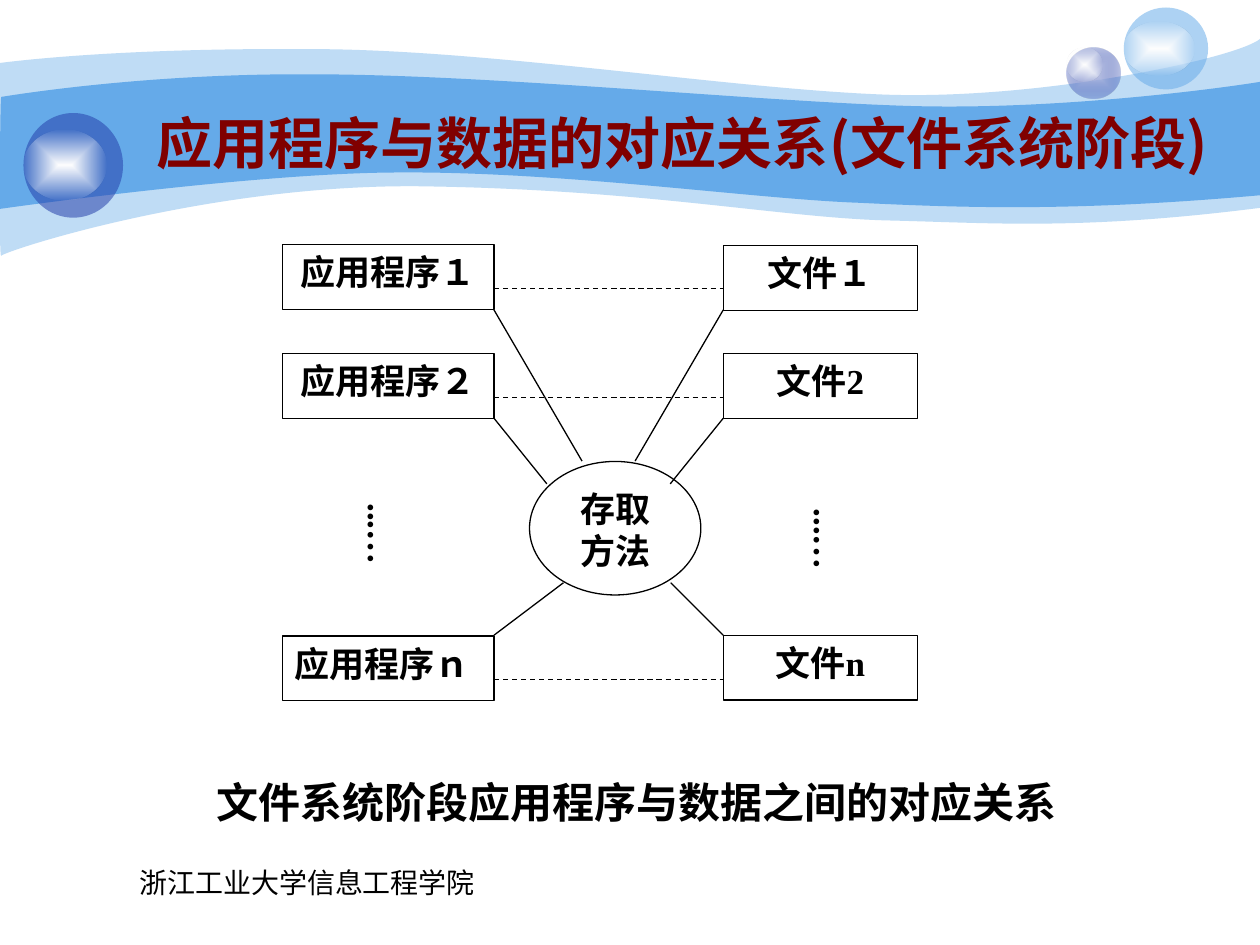
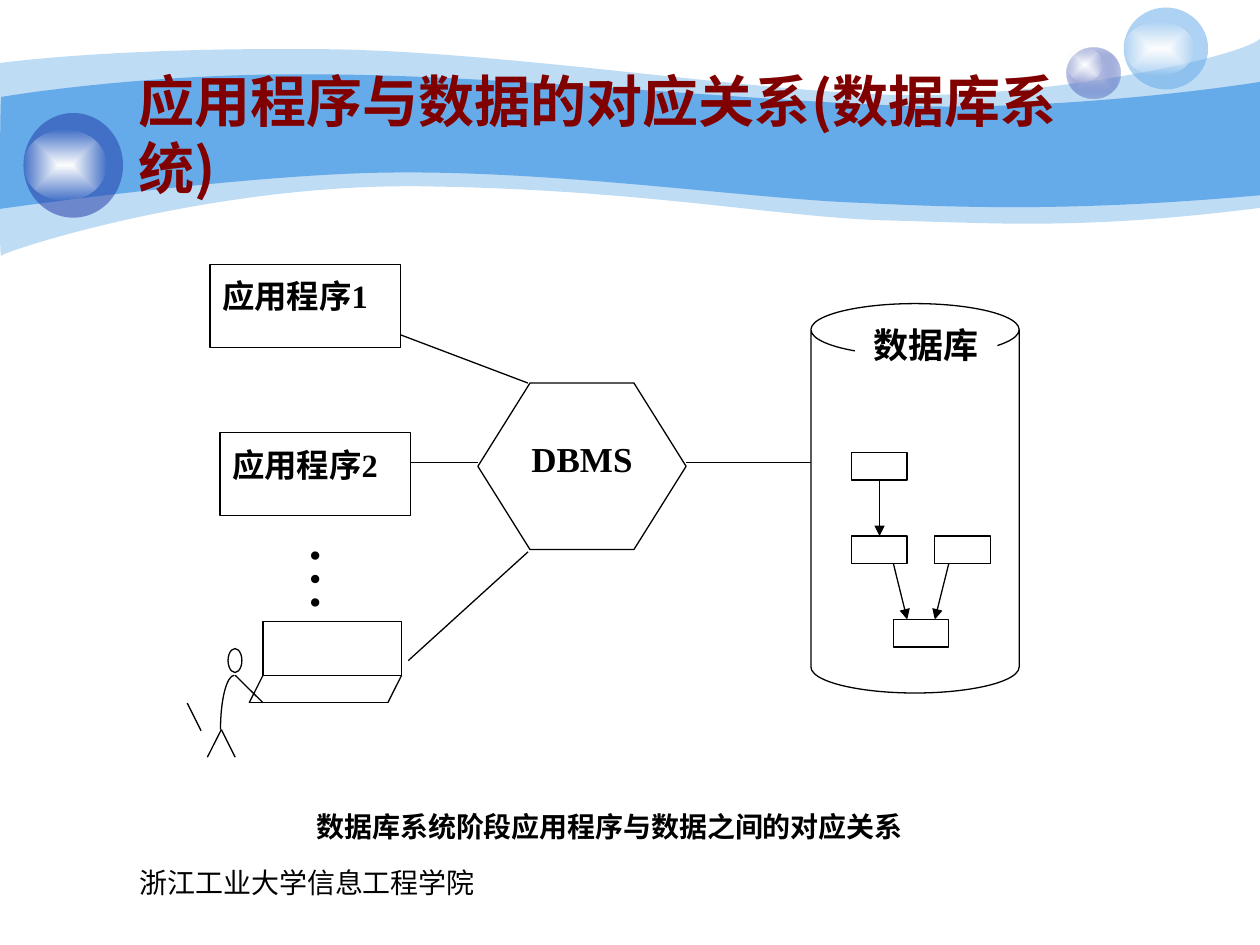
import pptx
import pptx.util
import pptx.dml.color
import pptx.enum.dml
import pptx.enum.shapes
import pptx.enum.text
import pptx.oxml
import pptx.oxml.ns

Pt = pptx.util.Pt
RGBColor = pptx.dml.color.RGBColor
Shape = pptx.enum.shapes.MSO_SHAPE
Align = pptx.enum.text.PP_ALIGN
Anchor = pptx.enum.text.MSO_ANCHOR
qn = pptx.oxml.ns.qn
NAMESPACE = pptx.oxml.ns.nsdecls("a")

BLACK = RGBColor(0x00, 0x00, 0x00)
WHITE = RGBColor(0xFF, 0xFF, 0xFF)
MAROON = RGBColor(0x80, 0x00, 0x00)
SKY = RGBColor(0x65, 0xAA, 0xE9)
NAVY = RGBColor(0x23, 0x3D, 0xA9)
LILAC = RGBColor(0xC7, 0xCE, 0xE9)

BODY_FONT = "Times New Roman"
TITLE_FONT = "Noto Sans CJK SC"
LINE_WIDTH = Pt(0.75)


def add_box(page, kind, left, top, width, height, text="", size=20, bold=True,
            align=Align.CENTER, insets=(7.2, 3.6, 7.2, 3.6), outlined=True, vertical=False):
    """Add a white preset shape, or a text box when kind is None."""
    frame = [Pt(value) for value in (left, top, width, height)]
    if kind is None:
        box = page.shapes.add_textbox(*frame)
    else:
        box = page.shapes.add_shape(kind, *frame)
        box.shadow.inherit = False
        box.fill.solid()
        box.fill.fore_color.rgb = WHITE
        if outlined:
            box.line.color.rgb = BLACK
            box.line.width = LINE_WIDTH
        else:
            box.line.fill.background()
    body = box.text_frame
    body.word_wrap = True
    body.vertical_anchor = Anchor.TOP
    body.margin_left, body.margin_top, body.margin_right, body.margin_bottom = map(Pt, insets)
    if vertical:
        box.element.txBody.bodyPr.set("vert", "eaVert")
    if text:
        para = body.paragraphs[0]
        para.alignment = align
        span = para.add_run()
        span.text = text
        span.font.name = BODY_FONT
        span.font.size = Pt(size)
        span.font.bold = bold
        span.font.color.rgb = BLACK
    return box


def add_line(page, x1, y1, x2, y2, dashed=False, arrow=False):
    line = page.shapes.add_connector(pptx.enum.shapes.MSO_CONNECTOR.STRAIGHT,
                                     Pt(x1), Pt(y1), Pt(x2), Pt(y2))
    line.line.color.rgb = BLACK
    line.line.width = LINE_WIDTH
    if dashed:
        line.line.dash_style = pptx.enum.dml.MSO_LINE.DASH
    properties = line.element.spPr
    if arrow:
        head = pptx.oxml.parse_xml(f'<a:tailEnd {NAMESPACE} type="triangle"/>')
        properties.find(qn("a:ln")).append(head)
    properties.append(pptx.oxml.parse_xml(f'<a:effectLst {NAMESPACE}/>'))


deck = pptx.Presentation()
deck.slide_width, deck.slide_height = Pt(720), Pt(540)
layout = deck.slide_layouts[5]

# Title and footer of each slide
titles = [
    ("应用程序与数据的对应关系(文件系统阶段)", Align.CENTER, (77.8, 36, 624.2, 90)),
    ("应用程序与数据的对应关系(数据库系统)", Align.LEFT, (72, 54, 581.8, 44.6)),
]
pages = []
for text, align, frame in titles:
    page = deck.slides.add_slide(layout)
    title = page.shapes.title
    title.left, title.top, title.width, title.height = map(Pt, frame)
    title.text_frame.auto_size = pptx.enum.text.MSO_AUTO_SIZE.NONE
    title.text_frame.vertical_anchor = Anchor.MIDDLE
    para = title.text_frame.paragraphs[0]
    para.alignment = align
    span = para.add_run()
    span.text = text
    span.font.name = TITLE_FONT
    span.font.size = Pt(32)
    span.font.bold = True
    span.font.color.rgb = MAROON
    add_box(page, None, 36.7, 491, 277.9, 37.4, "浙江工业大学信息工程学院", 16, bold=False)
    pages.append(page)
file_page, database_page = pages

# Curved outlines: a start, then segments of one point (line) or three (cubic curve)
light_wave = [
    [(0, 36)], [(17.3, 33.8), (77, 27.4), (177.8, 28.1)],
    [(277.9, 28.1), (414, 50.4), (503.3, 54)], [(591.8, 57.6), (705.6, 33.8), (720, 22.3)],
    [(720, 118.8)], [(617.8, 131.8), (566.6, 127.4), (507.6, 126)],
    [(447.8, 124.6), (370.8, 108.7), (247, 106.6)], [(123.8, 103.7), (2.9, 143.3), (0.7, 146.2)],
    [(-0.7, 149.8), (0, 54), (0, 36)],
]
dark_wave = [
    [(0.7, 55.4)], [(1.4, 55.4), (79.2, 41.8), (178.6, 42.5)],
    [(277.9, 42.5), (428.4, 57.6), (517, 60.5)], [(605.5, 63.4), (702.7, 49.7), (720, 46.8)],
    [(720, 111.6)], [(614.2, 121), (550.8, 118.8), (491, 115.9)],
    [(431.3, 113.8), (321.8, 97.9), (228.2, 98.6)], [(146.2, 98.6), (-1.4, 119.5), (-0.7, 119.5)],
    [(0, 119.5), (0, 55.4), (0.7, 55.4)],
]
user_back = [[(133.9, 385.9)], [(129.6, 385.9), (126, 399.6), (126, 416.9)]]
curves = []
for page, segments, closed in ((file_page, light_wave, True), (file_page, dark_wave, True),
                               (database_page, user_back, False)):
    points = [(Pt(x), Pt(y)) for segment in segments for x, y in segment]
    builder = page.shapes.build_freeform(*points[0])
    builder.add_line_segments(points[1:], close=closed)
    curve = builder.convert_to_shape()
    curve.shadow.inherit = False
    corners = list(curve.element.spPr.iter(qn("a:lnTo")))
    for segment in segments[1:]:
        group, corners = corners[:len(segment)], corners[len(segment):]
        if len(group) == 3:
            bend = pptx.oxml.parse_xml(f"<a:cubicBezTo {NAMESPACE}/>")
            group[0].addprevious(bend)
            for corner in group:
                bend.append(corner[0])
                corner.getparent().remove(corner)
    curves.append(curve)
light_band, dark_band, back = curves
back.fill.background()
back.line.color.rgb = BLACK
back.line.width = LINE_WIDTH

# Bubbles with their highlights
glow = [(WHITE, 100), (WHITE, 0)]
bubbles = [
    ((609.8, 27.4, 30.2, 28.8), [(LILAC, 100), (NAVY, 31)]),
    ((609.8, 27.4, 20.2, 19.4), glow),
    ((642.2, 4.3, 48.2, 46.8), [(SKY, 53)]),
    ((642.2, 12.2, 40.3, 31), glow),
    ((13.4, 64.6, 56.9, 59.8), [(NAVY, 53)]),
    ((13.4, 74.2, 47.5, 40.3), glow),
]
decorations = [(light_band, [(SKY, 41)]), (dark_band, [(SKY, 100)])]
for frame, stops in bubbles:
    decorations.append((file_page.shapes.add_shape(Shape.OVAL, *map(Pt, frame)), stops))

# Fill the decorations and move them to the shared layout
for position, (shape, stops) in enumerate(decorations):
    colours = [f'<a:srgbClr val="{colour}"><a:alpha val="{opacity * 1000}"/></a:srgbClr>'
               for colour, opacity in stops]
    if len(colours) == 1:
        fill = f"<a:solidFill {NAMESPACE}>{colours[0]}</a:solidFill>"
    else:
        fill = (f'<a:gradFill {NAMESPACE}><a:gsLst><a:gs pos="0">{colours[0]}</a:gs>'
                f'<a:gs pos="100000">{colours[1]}</a:gs></a:gsLst><a:path path="rect">'
                '<a:fillToRect l="50000" t="50000" r="50000" b="50000"/></a:path></a:gradFill>')
    shape.shadow.inherit = False
    shape.line.fill.background()
    shape.element.spPr.find(qn("a:ln")).addprevious(pptx.oxml.parse_xml(fill))
    layout.shapes.element.insert(2 + position, shape.element)

# File system: programs on the left, files on the right, dashed links between
PROGRAM_LEFT, PROGRAM_WIDTH = 161.3, 121
FILE_LEFT, FILE_WIDTH = 413.3, 111
PROGRAM_RIGHT = PROGRAM_LEFT + PROGRAM_WIDTH
rows = [
    ("应用程序１", "文件１", Align.CENTER, 139.7, 140.4),
    ("应用程序２", "文件2", Align.CENTER, 202.1, 202.1),
    ("应用程序ｎ", "文件n", Align.LEFT, 363.5, 363),
]
for program, data_file, align, program_top, file_top in rows:
    add_box(file_page, Shape.RECTANGLE, PROGRAM_LEFT, program_top, PROGRAM_WIDTH, 37,
            program, align=align)
    add_box(file_page, Shape.RECTANGLE, FILE_LEFT, file_top, FILE_WIDTH, 37, data_file)
    add_line(file_page, PROGRAM_RIGHT, program_top + 25, FILE_LEFT, program_top + 25, dashed=True)

# File system: access method in the middle with its spokes
add_box(file_page, Shape.OVAL, 302.6, 263.7, 97.9, 76.3, "存取方法")
for corner, hub_left, hub_right, hub_y in ((177.1, 332.6, 362.9, 263.5),
                                           (239, 312.5, 383, 276.5),
                                           (363, 322, 383.3, 333)):
    add_line(file_page, PROGRAM_RIGHT, corner, hub_left, hub_y)
    add_line(file_page, FILE_LEFT, corner, hub_right, hub_y)

# File system: dots and caption
for left, height in ((195.8, 65.5), (450.7, 71.3)):
    add_box(file_page, None, left, 272.9, 38.2, height, "...…", align=Align.LEFT,
            insets=(3.6, 14.7 if height < 70 else 17.7, 3.6, 0), vertical=True)
add_box(file_page, None, 87, 440, 553.7, 36, "文件系统阶段应用程序与数据之间的对应关系", 24)

# Database: user at a terminal
add_box(database_page, Shape.RECTANGLE, 150.3, 355, 79.2, 31)
add_box(database_page, Shape.FLOWCHART_CONNECTOR, 130.3, 370.6, 7.9, 13.7)
user_lines = [
    (99.3, 433.6, 99.3, 433.6),
    (107, 401.8, 114.9, 417.6),
    (150.3, 385.9, 142.4, 401.6),
    (229.5, 385.9, 221.6, 401.6),
    (142.4, 401.6, 221.6, 401.6),
    (126.5, 416.9, 134.4, 432.7),
    (126.5, 416.9, 118.5, 432.7),
    (134.4, 385.9, 150.3, 401.6),
]
for ends in user_lines:
    add_line(database_page, *ends)

# Database: management system and store
hexagon = add_box(database_page, Shape.HEXAGON, 273.1, 218.9, 119, 95.2, "DBMS",
                  insets=(0, 15.1, 0, 3.6))
hexagon.adjustments[0] = 0.313
add_box(database_page, Shape.CAN, 463.4, 173.5, 119, 222.5)
for left, top in ((486.6, 258.6), (486.6, 306.3), (534.1, 306.3), (510.4, 354)):
    add_box(database_page, Shape.RECTANGLE, left, top, 31.8, 15.8)
for ends in ((502.6, 274.5, 502.6, 306.3), (510.5, 322, 518.4, 354), (542.2, 322, 534.2, 354)):
    add_line(database_page, *ends, arrow=True)

# Database: links, then programs and the name of the store
for ends in ((392.2, 264.2, 463.4, 264.2), (227.5, 190.8, 301.7, 218.9),
             (233.3, 264.2, 273.1, 264.2), (233.3, 377.5, 301.7, 315.4)):
    add_line(database_page, *ends)
for text, left, top in (("应用程序1", 120, 151), ("应用程序2", 125.7, 247.2)):
    program = add_box(database_page, Shape.RECTANGLE, left, top, 108.9, 47.5, text, 18.5,
                      align=Align.LEFT, insets=(7.2, 9.4, 7.2, 3.6))
    program.text_frame.paragraphs[0].line_spacing = 0.9
add_box(database_page, Shape.RECTANGLE, 488.6, 185, 81.4, 31.7, "数据库",
        insets=(0, 0, 0, 0), outlined=False)

# Database: dots and caption
add_box(database_page, None, 160.2, 298.1, 61.9, 66.2, "…", 40, bold=False, align=Align.LEFT,
        insets=(3.6, 12.9, 3.6, 1.5), vertical=True)
add_box(database_page, None, 144.8, 458.9, 407.5, 28.8, "数据库系统阶段应用程序与数据之间的对应关系", 16)

deck.save("out.pptx")
